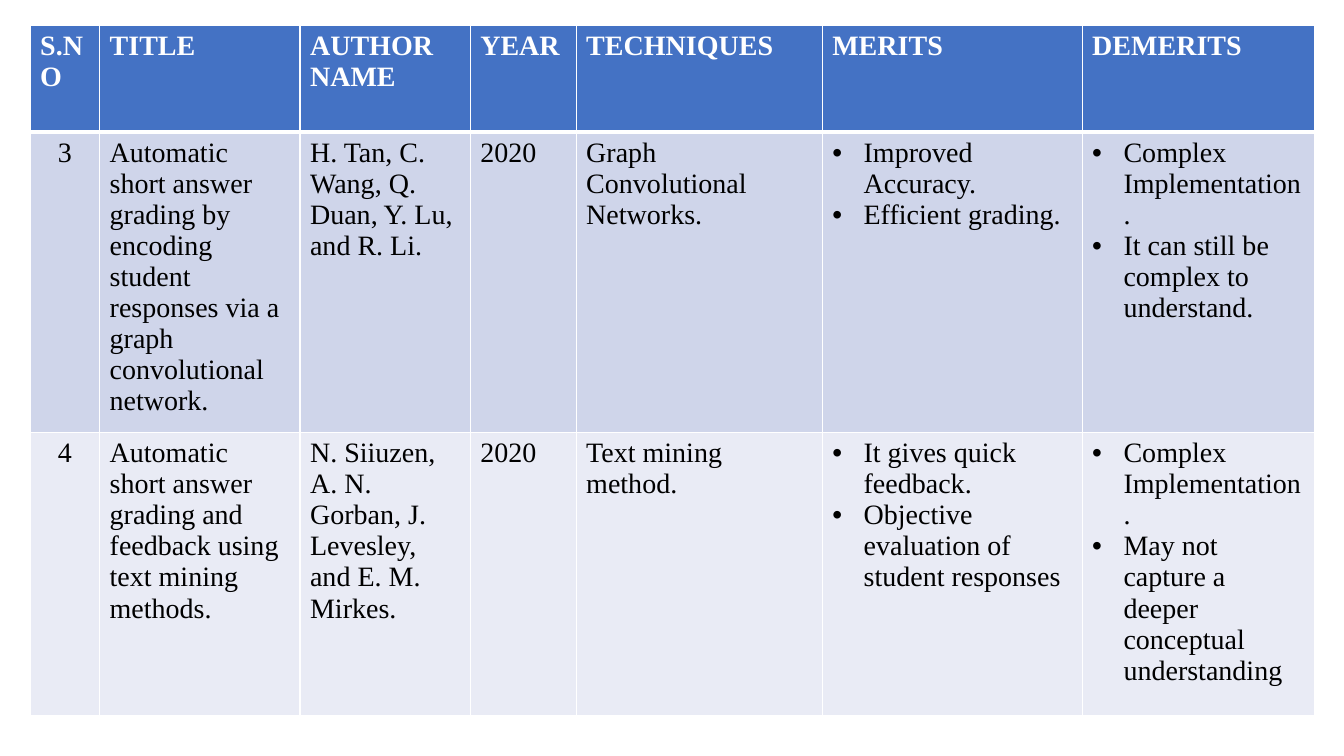
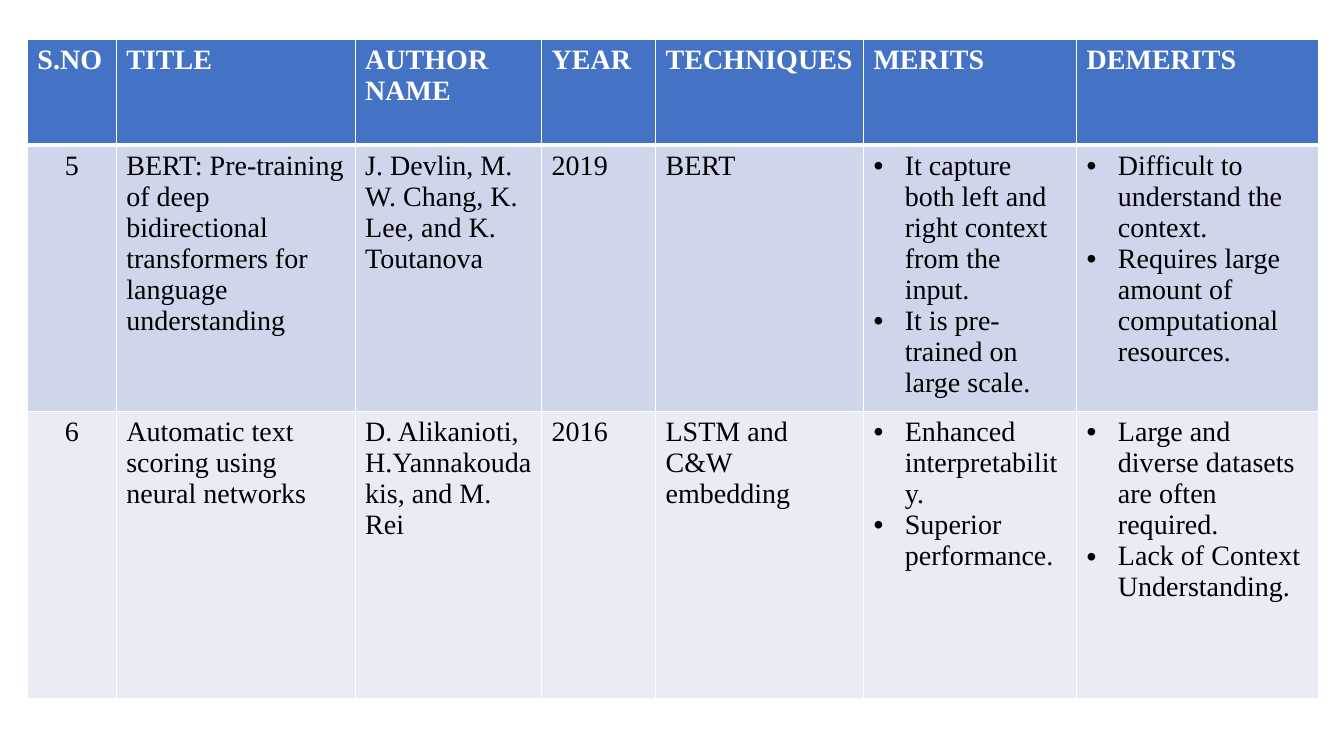
from lxml import etree
from pptx import Presentation
from pptx.dml.color import RGBColor
from pptx.enum.text import PP_ALIGN
from pptx.oxml.ns import qn
from pptx.util import Cm, Pt

CENTER = PP_ALIGN.CENTER
FONT = "Times New Roman"
WHITE, BLACK = "FFFFFF", "000000"
ROW_FILLS = ["4472C4", "CFD5EA", "E9EBF5"]
HEADINGS = ["S.NO", "TITLE", "AUTHOR NAME", "YEAR", "TECHNIQUES", "MERITS", "DEMERITS"]
BULLET_COLUMNS = (5, 6)
BULLET_INDENT = Cm(0.79)

# Lengths in centimetres; each line of a cell is one paragraph.
SURVEYS = [
    {
        "left": 0.76, "top": 0.64,
        "columns": [1.75, 5.05, 4.29, 2.67, 6.2, 6.55, 5.87],
        "rows": [2.69, 7.57, 7.14],
        "papers": [
            ["3",
             "Automatic short answer grading by encoding student responses via a graph convolutional network.",
             "H. Tan, C. Wang, Q. Duan, Y. Lu, and R. Li.",
             "2020",
             "Graph Convolutional Networks.",
             "Improved Accuracy.\nEfficient grading.",
             "Complex Implementation.\nIt can still be complex to understand."],
            ["4",
             "Automatic short answer grading and feedback using text mining methods.",
             "N. Siiuzen, A. N. Gorban, J. Levesley, and E. M. Mirkes.",
             "2020",
             "Text mining method.",
             "It gives quick feedback.\nObjective evaluation of student responses",
             "Complex Implementation.\nMay not capture a deeper conceptual understanding"],
        ],
    },
    {
        "left": 0.69, "top": 0.99,
        "columns": [2.24, 6.02, 4.7, 2.87, 5.24, 5.37, 6.1],
        "rows": [2.67, 6.71, 7.24],
        "papers": [
            ["5",
             "BERT: Pre-training of deep bidirectional transformers for language understanding",
             "J. Devlin, M. W. Chang, K. Lee, and K. Toutanova",
             "2019",
             "BERT",
             "It capture both left and right context from the input.\nIt is pre-trained on large scale.",
             "Difficult to understand the context.\nRequires large amount of computational resources."],
            ["6",
             "Automatic text scoring using neural networks",
             "D. Alikanioti,\nH.Yannakoudakis, and M. Rei",
             "2016",
             "LSTM and C&W embedding",
             "Enhanced interpretability.\nSuperior performance.",
             "Large and diverse datasets are often required.\nLack of Context Understanding."],
        ],
    },
]


def add_borders(cell, widths):
    """Draw white borders; widths are points for left, right, top, bottom."""
    properties = cell._tc.get_or_add_tcPr()
    for side, width in zip("LRTB", widths):
        line = etree.SubElement(properties, qn(f"a:ln{side}"), w=str(Pt(width)))
        fill = etree.SubElement(line, qn("a:solidFill"))
        etree.SubElement(fill, qn("a:srgbClr"), val=WHITE)


def add_bullet(para):
    properties = para._p.get_or_add_pPr()
    properties.set("marL", str(BULLET_INDENT))
    properties.set("indent", str(-BULLET_INDENT))
    etree.SubElement(properties, qn("a:buFont"), typeface="Arial")
    etree.SubElement(properties, qn("a:buChar"), char="•")


deck = Presentation()
deck.slide_width, deck.slide_height = Cm(33.87), Cm(19.05)
blank_layout = deck.slide_layouts[6]

for survey in SURVEYS:
    page = deck.slides.add_slide(blank_layout)
    lines = [HEADINGS] + survey["papers"]
    table = page.shapes.add_table(
        len(lines), len(HEADINGS), Cm(survey["left"]), Cm(survey["top"]),
        Cm(sum(survey["columns"])), Cm(sum(survey["rows"]))).table
    for column, width in zip(table.columns, survey["columns"]):
        column.width = Cm(width)
    for row, height in zip(table.rows, survey["rows"]):
        row.height = Cm(height)

    for row_index, texts in enumerate(lines):
        is_header = row_index == 0
        for column_index, text in enumerate(texts):
            cell = table.cell(row_index, column_index)
            add_borders(cell, (1, 1, 3 if row_index == 1 else 1, 3 if is_header else 1))
            cell.fill.solid()
            cell.fill.fore_color.rgb = RGBColor.from_string(ROW_FILLS[row_index])
            cell.text = text
            for para in cell.text_frame.paragraphs:
                if not is_header and column_index in BULLET_COLUMNS:
                    add_bullet(para)
                if not is_header and column_index == 0:
                    para.alignment = CENTER
                para.font.name = FONT
                para.font.size = Pt(20)
                para.font.bold = is_header
                para.font.color.rgb = RGBColor.from_string(WHITE if is_header else BLACK)

deck.save("out.pptx")
